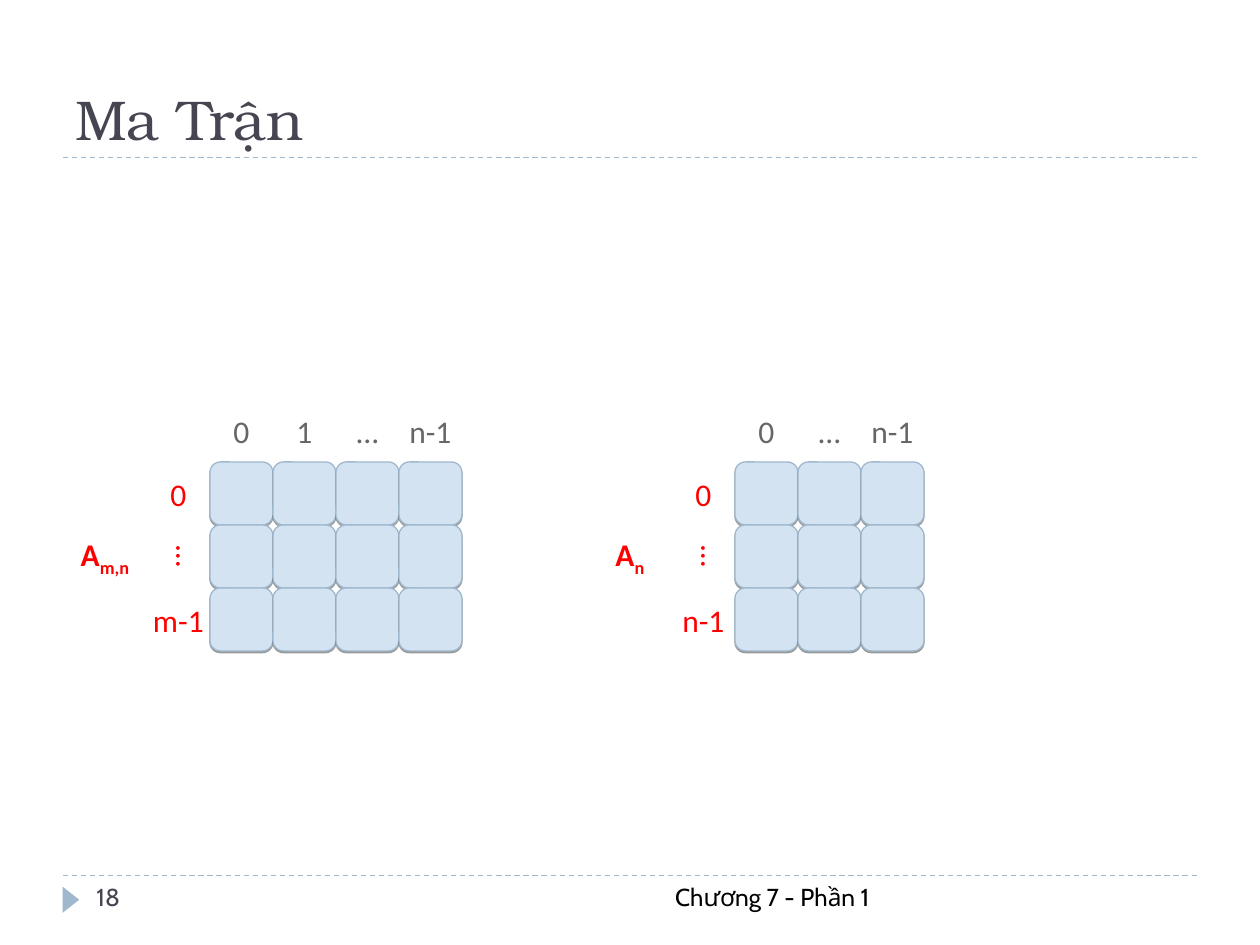
from lxml.etree import SubElement
from pptx import Presentation
from pptx.dml.color import RGBColor
from pptx.enum.dml import MSO_LINE
from pptx.enum.shapes import MSO_CONNECTOR, MSO_SHAPE
from pptx.enum.text import MSO_ANCHOR, PP_ALIGN
from pptx.oxml.ns import qn
from pptx.util import Pt

COLORS = {
    "title": "464653",
    "accent": "9FB8CD",
    "cell": "D3E3F2",
    "row": "FF0000",
    "column": "666666",
    "footer": "000000",
    "paper": "FFFFFF",
}
CELL = 36


def rgb(name):
    return RGBColor.from_string(COLORS[name])


def write(sp, text, font="Calibri", size=18, color="row", bold=False, sub="",
          align=PP_ALIGN.LEFT, anchor=MSO_ANCHOR.TOP, wrap=True):
    """Write one line of text, with an optional subscript."""
    tf = sp.text_frame
    tf.word_wrap = wrap
    tf.vertical_anchor = anchor
    p = tf.paragraphs[0]
    p.alignment = align
    for part in filter(None, (text, sub)):
        r = p.add_run()
        r.text = part
        r.font.name = font
        r.font.size = Pt(size)
        r.font.bold = bold
        r.font.color.rgb = rgb(color)
    if sub:
        r.font._element.set("baseline", "-25000")


def add_text(s, x, y, w, h, text, **fmt):
    write(s.shapes.add_textbox(Pt(x), Pt(y), Pt(w), Pt(h)), text, **fmt)


def add_shape(s, kind, x, y, w, h, fill, line=None):
    sp = s.shapes.add_shape(kind, Pt(x), Pt(y), Pt(w), Pt(h))
    sp.shadow.inherit = False
    sp.fill.solid()
    sp.fill.fore_color.rgb = rgb(fill)
    if line:
        sp.line.color.rgb = rgb(line)
        sp.line.width = Pt(0.75)
    else:
        sp.line.fill.background()
    return sp


def add_rule(s, x, y, w):
    line = s.shapes.add_connector(MSO_CONNECTOR.STRAIGHT, Pt(x), Pt(y), Pt(x + w), Pt(y))
    line.line.color.rgb = rgb("accent")
    line.line.width = Pt(0.75)
    line.line.dash_style = MSO_LINE.DASH
    SubElement(line._element.spPr, qn("a:effectLst"))


def add_label(s, x, y, text, rotation=0, **fmt):
    sp = add_shape(s, MSO_SHAPE.ROUNDED_RECTANGLE, x, y, CELL, CELL, "paper")
    sp.rotation = rotation
    write(sp, text, align=PP_ALIGN.CENTER, anchor=MSO_ANCHOR.MIDDLE, wrap=False, **fmt)


def add_cell(s, x, y):
    sp = add_shape(s, MSO_SHAPE.ROUNDED_RECTANGLE, x, y, CELL, CELL, "cell", "accent")
    # Soft shadow just below the cell
    effects = sp._element.spPr.find(qn("a:effectLst"))
    shadow = SubElement(effects, qn("a:outerShdw"), dist=str(Pt(1)), dir="5400000",
                        rotWithShape="0")
    color = SubElement(shadow, qn("a:srgbClr"), val="000000")
    SubElement(color, qn("a:alpha"), val="40000")


def add_matrix(s, x, y, size, rows, columns):
    """Place a named matrix with its indices; x, y is the top left corner."""
    grid_x, grid_y = x + 78, y + CELL
    add_label(s, x, grid_y + CELL, "A", sub=size, bold=True)
    for j, text in enumerate(columns):
        add_label(s, grid_x + j * CELL, y, text, color="column")
    for i, text in enumerate(rows):
        row_y = grid_y + i * CELL
        # The ellipsis is turned to run downwards
        turned = text == "…"
        add_label(s, grid_x - CELL + (6 if turned else 0), row_y, text,
                  rotation=90 if turned else 0)
        for j in range(len(columns)):
            add_cell(s, grid_x + j * CELL, row_y)


def add_header(s, x, y, w, h):
    add_rule(s, x, y + h, w)
    add_text(s, x, y, w, h, "Ma Trận", font="TeX Gyre Bonum", size=32,
             color="title", anchor=MSO_ANCHOR.BOTTOM)


def add_footer(s, x, y, w):
    add_rule(s, x, y, w)
    marker = add_shape(s, MSO_SHAPE.ISOSCELES_TRIANGLE, x - 3, y + 9, 15, 9.5, "accent")
    marker.rotation = 90
    add_text(s, x + 12, y, 156, 29, "18", font="Cabin", size=14, color="title")
    add_text(s, x + 192, y, 276, 29, "Chương 7 - Phần 1", font="Cabin", size=14,
             color="footer", align=PP_ALIGN.RIGHT)


def main():
    prs = Presentation()
    prs.slide_width, prs.slide_height = Pt(720), Pt(540)
    s = prs.slides.add_slide(prs.slide_layouts[6])
    add_header(s, 36, 18, 648, 72)
    add_matrix(s, 42, 228, "m,n", ["0", "…", "m-1"], ["0", "1", "…", "n-1"])
    add_matrix(s, 342, 228, "n", ["0", "…", "n-1"], ["0", "…", "n-1"])
    add_footer(s, 36, 500.4, 648)
    prs.save("out.pptx")


if __name__ == "__main__":
    main()
